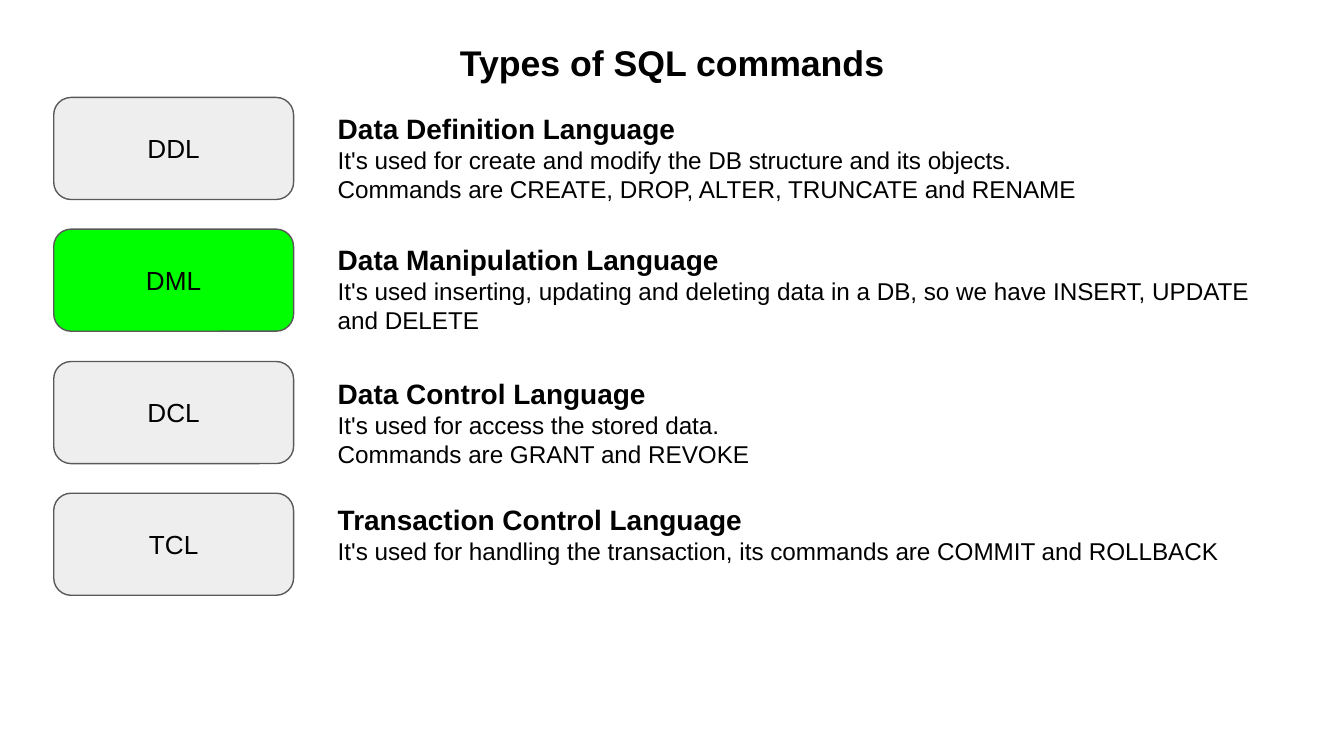
import pptx
import pptx.dml.color
import pptx.enum.shapes
import pptx.enum.text
import pptx.util

PX = 4572
FONT = "Arial"
BLACK = pptx.dml.color.RGBColor(0x00, 0x00, 0x00)
GREY = pptx.dml.color.RGBColor(0xEE, 0xEE, 0xEE)
GREEN = pptx.dml.color.RGBColor(0x00, 0xFF, 0x00)
OUTLINE = pptx.dml.color.RGBColor(0x59, 0x59, 0x59)
ALIGN = pptx.enum.text.PP_ALIGN
ANCHOR = pptx.enum.text.MSO_ANCHOR

COMMAND_TYPES = [
    ("DDL", GREY, 1, "Data Definition Language",
     ["It's used for create and modify the DB structure and its objects.",
      "Commands are CREATE, DROP, ALTER, TRUNCATE and RENAME"]),
    ("DML", GREEN, 0, "Data Manipulation Language",
     ["It's used inserting, updating and deleting data in a DB, "
      "so we have INSERT, UPDATE and DELETE"]),
    ("DCL", GREY, 2, "Data Control Language",
     ["It's used for access the stored data.",
      "Commands are GRANT and REVOKE"]),
    ("TCL", GREY, -6, "Transaction Control Language",
     ["It's used for handling the transaction, "
      "its commands are COMMIT and ROLLBACK"]),
]


def emu(*lengths):
    """Turn px lengths into EMU."""
    return [pptx.util.Emu(length * PX) for length in lengths]


def write(frame, text, size=13, bold=False, align=ALIGN.LEFT, spacing=1.0):
    """Write text as the next paragraph of a text frame."""
    paragraph = frame.add_paragraph() if frame.text else frame.paragraphs[0]
    paragraph.alignment = align
    paragraph.line_spacing = spacing
    run = paragraph.add_run()
    run.text = text
    run.font.name = FONT
    run.font.size = pptx.util.Pt(size)
    run.font.bold = bold
    run.font.color.rgb = BLACK


def prepare_frame(shape, anchor):
    """Wrap a shape's text, inset it evenly and return its frame."""
    frame = shape.text_frame
    frame.word_wrap = True
    frame.vertical_anchor = anchor
    frame.margin_left, frame.margin_top, frame.margin_right, frame.margin_bottom = emu(20, 20, 20, 20)
    return frame


def add_title(slide, left, top, width, height):
    """Place the slide title in the given box."""
    title = slide.shapes.add_textbox(*emu(left, top, width, height))
    write(prepare_frame(title, ANCHOR.BOTTOM), "Types of SQL commands",
          size=19.1, bold=True, align=ALIGN.CENTER, spacing=0.8)


def add_command_type(slide, left, top, width, height, command_type):
    """Place one acronym badge and its explanation in the given box."""
    acronym, colour, text_shift, heading, details = command_type
    badge = slide.shapes.add_shape(
        pptx.enum.shapes.MSO_SHAPE.ROUNDED_RECTANGLE, *emu(left, top, 357, height))
    badge.adjustments[0] = 0.17
    badge.shadow.inherit = False
    badge.fill.solid()
    badge.fill.fore_color.rgb = colour
    badge.line.color.rgb = OUTLINE
    badge.line.width = pptx.util.Pt(0.75)
    write(prepare_frame(badge, ANCHOR.MIDDLE), acronym, size=14, align=ALIGN.CENTER)

    explanation = slide.shapes.add_textbox(
        *emu(left + 403, top + text_shift, width - 403, height))
    frame = prepare_frame(explanation, ANCHOR.TOP)
    write(frame, heading, size=15, bold=True)
    for detail in details:
        write(frame, detail)


def main():
    """Build and save the slide."""
    deck = pptx.Presentation()
    deck.slide_width, deck.slide_height = emu(2000, 1125)
    slide = deck.slides.add_slide(deck.slide_layouts[6])
    add_title(slide, 68, 50, 1864, 94)
    for index, command_type in enumerate(COMMAND_TYPES):
        add_command_type(slide, 80, 145 + round(196.4 * index), 1852, 152, command_type)
    deck.save("out.pptx")


if __name__ == "__main__":
    main()
